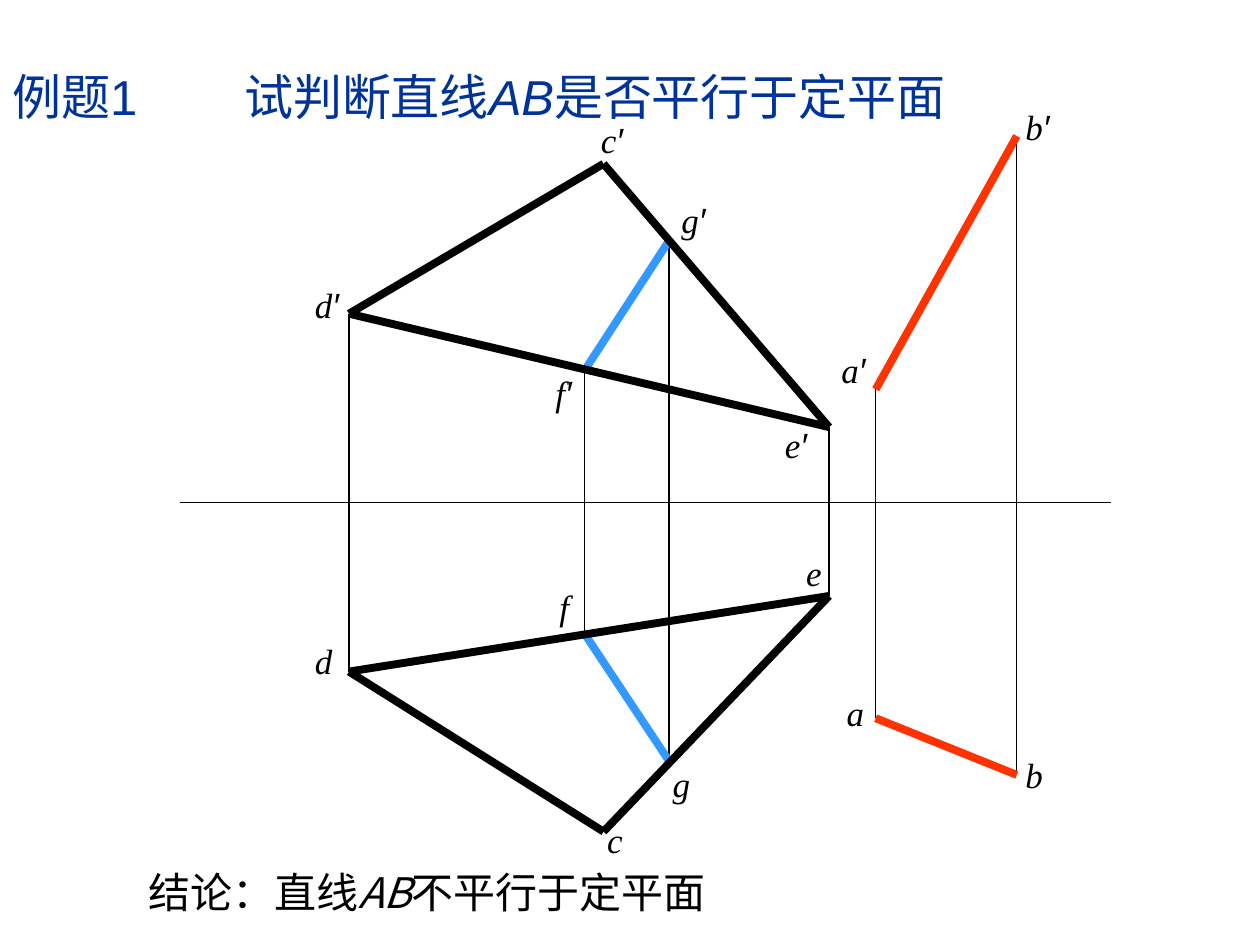
from lxml import etree
from pptx import Presentation
from pptx import util as u
from pptx.dml.color import RGBColor
from pptx.enum import shapes, text
from pptx.oxml import ns

CJK = "Noto Sans CJK SC"
BLACK, NAVY, BLUE, RED = "000000", "003399", "3399FF", "FF3300"


def rgb(value):
    return RGBColor.from_string(value)


class Drawing:
    """Draws lines and text on one slide in a shared style."""

    def __init__(self, slide):
        self.s = slide

    def line(self, start, end, color=BLACK, width=0.75):
        x1, y1, x2, y2 = [u.Inches(v) for v in (*start, *end)]
        sp = self.s.shapes.add_connector(shapes.MSO_CONNECTOR.STRAIGHT, x1, y1, x2, y2)
        sp.line.color.rgb = rgb(color)
        sp.line.width = u.Pt(width)
        etree.SubElement(sp._element.spPr, ns.qn("a:effectLst"))

    def text(self, box, runs, size, color=BLACK, tab=None):
        sp = self.s.shapes.add_textbox(*[u.Inches(v) for v in box])
        tf = sp.text_frame
        tf.word_wrap = True
        tf.auto_size = text.MSO_AUTO_SIZE.SHAPE_TO_FIT_TEXT
        p = tf.paragraphs[0]
        if tab:
            tabs = etree.SubElement(p._p.get_or_add_pPr(), ns.qn("a:tabLst"))
            etree.SubElement(tabs, ns.qn("a:tab"), pos=str(u.Inches(tab)), algn="l")
        for words, font, italic in runs:
            r = p.add_run()
            r.text = words
            r.font.size = u.Pt(size)
            r.font.italic = italic
            r.font.color.rgb = rgb(color)
            r.font.name = font
            etree.SubElement(r._r.get_or_add_rPr(), ns.qn("a:ea"), typeface=CJK)

    def label(self, name, left, top):
        runs = [(name[0], "Times New Roman", True)]
        if name[1:]:
            runs.append((name[1:], "Arial", True))
        self.text((left, top, 0.52, 0.44), runs, 20)

    def sentence(self, box, parts, font, size, color=BLACK, tab=None):
        before, segment, after = parts
        runs = [(before, font, False), (segment, font, True), (after, font, False)]
        self.text(box, runs, size, color, tab)


POINTS = {
    "a": (6.95, 5.7), "a′": (6.95, 3.09),
    "b": (8.07, 6.15), "b′": (8.07, 1.08),
    "c": (4.79, 6.6), "c′": (4.79, 1.3),
    "d": (2.77, 5.33), "d′": (2.77, 2.49),
    "e": (6.58, 4.73), "e′": (6.58, 3.39),
    "f": (4.64, 5.03), "f′": (4.64, 2.94),
    "g": (5.31, 6.04), "g′": (5.31, 1.91),
}
LABELS = {
    "a": (6.62, 5.44), "a′": (6.58, 2.72),
    "b": (8.04, 5.93), "b′": (8.04, 0.79),
    "c": (4.72, 6.45), "c′": (4.67, 0.89),
    "d": (2.4, 5.03), "d′": (2.4, 2.2),
    "e": (6.3, 4.33), "e′": (6.13, 3.31),
    "f": (4.34, 4.6), "f′": (4.31, 2.9),
    "g": (5.24, 6), "g′": (5.31, 1.53),
}
SEGMENTS = [("fg", BLUE), ("ab", RED), ("dc", BLACK), ("ce", BLACK), ("de", BLACK)]


def main():
    prs = Presentation()
    prs.slide_width, prs.slide_height = u.Inches(10), u.Inches(7.5)
    d = Drawing(prs.slides.add_slide(prs.slide_layouts[6]))
    d.sentence((0, 0.48, 10, 0.75), ("例题1\t试判断直线", "AB", "是否平行于定平面"),
               "Arial", 28, NAVY, tab=1.84)
    d.line((1.43, 3.99), (8.82, 3.99))
    for name in "abdefg":
        d.line(POINTS[name + "′"], POINTS[name])
    for (start, end), color in SEGMENTS:
        for view in ("", "′"):
            d.line(POINTS[start + view], POINTS[end + view], color, 4.5)
    for name, (left, top) in LABELS.items():
        d.label(name, left, top)
    d.sentence((1.08, 6.83, 6.15, 0.5), ("结论：直线", "AB", "不平行于定平面"), CJK, 24)
    prs.save("out.pptx")


if __name__ == "__main__":
    main()
